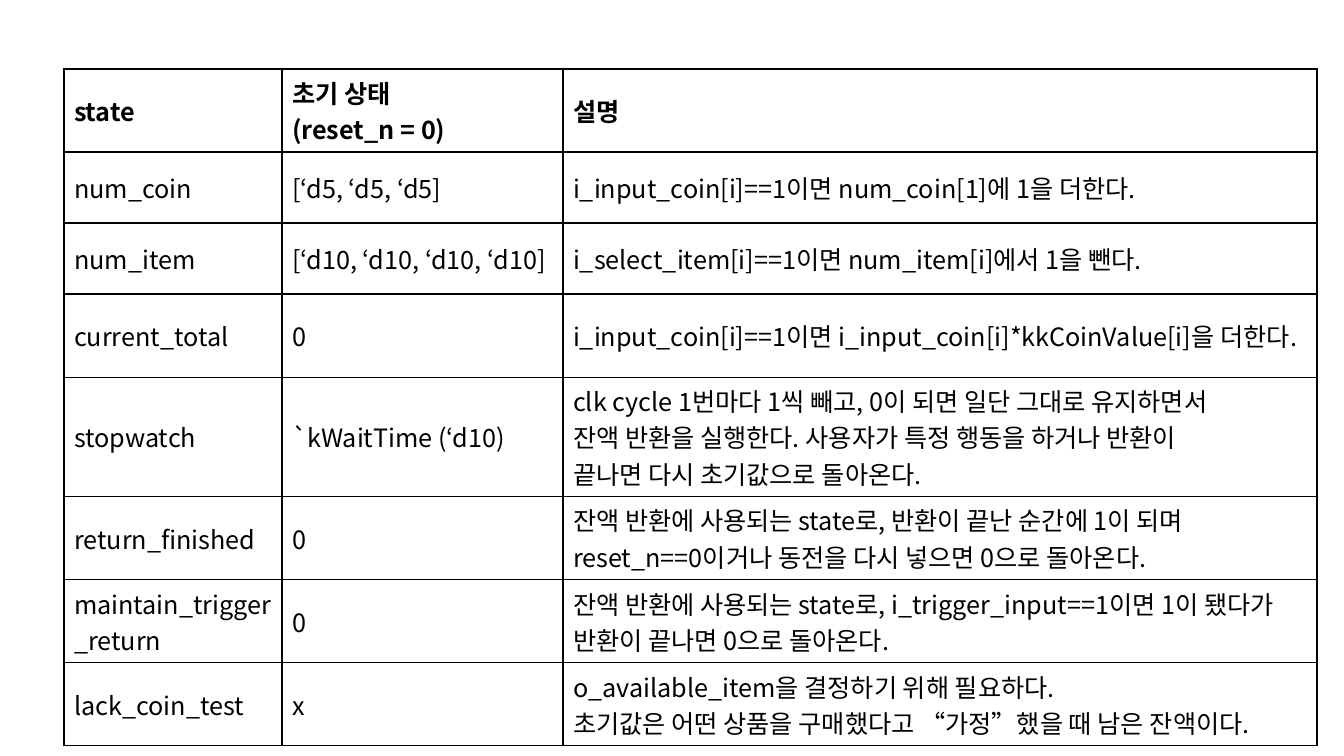
"""Builds a slide with the table of state registers, initial values and descriptions."""
import dataclasses

import pptx
import pptx.dml.color
import pptx.enum.text
import pptx.oxml
import pptx.oxml.ns
import pptx.util


@dataclasses.dataclass(frozen=True)
class Theme:
    font: str = "Noto Sans CJK KR"
    text_color: str = "000000"
    border_color: str = "000000"
    text_size: int = 18
    border_width: int = 1


class SlideBuilder:
    EMU_PER_PX = 914400 / 100.8

    def __init__(self, presentation, theme):
        self.theme = theme
        self.slide = presentation.slides.add_slide(presentation.slide_layouts[6])

    @classmethod
    def px(cls, length):
        return pptx.util.Emu(round(length * cls.EMU_PER_PX))

    def add_table(self, left, top, column_widths, row_height, rows):
        frame = self.slide.shapes.add_table(
            len(rows), len(column_widths), self.px(left), self.px(top),
            self.px(sum(column_widths)), self.px(row_height * len(rows)))
        table = frame.table
        table.first_row = False
        table.horz_banding = False
        for column, width in zip(table.columns, column_widths):
            column.width = self.px(width)
        for row_index, texts in enumerate(rows):
            table.rows[row_index].height = self.px(row_height)
            for column_index, text in enumerate(texts):
                self.fill_cell(table.cell(row_index, column_index), text, row_index == 0)

    def fill_cell(self, cell, text, bold):
        cell.text_frame.text = text
        cell.vertical_anchor = pptx.enum.text.MSO_ANCHOR.MIDDLE
        self.draw_borders(cell)
        cell.fill.background()
        for paragraph in cell.text_frame.paragraphs:
            for run in paragraph.runs:
                self.format_run(run, bold)

    def draw_borders(self, cell):
        properties = cell._tc.get_or_add_tcPr()
        width = pptx.util.Pt(self.theme.border_width)
        for side in ("lnL", "lnR", "lnT", "lnB"):
            properties.append(pptx.oxml.parse_xml(
                f'<a:{side} {pptx.oxml.ns.nsdecls("a")} w="{width}"><a:solidFill>'
                f'<a:srgbClr val="{self.theme.border_color}"/></a:solidFill></a:{side}>'))

    def format_run(self, run, bold):
        font = run.font
        font.size = pptx.util.Pt(self.theme.text_size)
        font.bold = bold
        font.color.rgb = pptx.dml.color.RGBColor.from_string(self.theme.text_color)
        font.name = self.theme.font
        run._r.get_or_add_rPr().append(pptx.oxml.parse_xml(
            f'<a:ea {pptx.oxml.ns.nsdecls("a")} typeface="{self.theme.font}"/>'))


STATE_ROWS = [
    ("state", "초기 상태\n(reset_n = 0)", "설명"),
    ("num_coin", "[‘d5, ‘d5, ‘d5]", "i_input_coin[i]==1이면 num_coin[1]에 1을 더한다."),
    ("num_item", "[‘d10, ‘d10, ‘d10, ‘d10]",
     "i_select_item[i]==1이면 num_item[i]에서 1을 뺀다."),
    ("current_total", "0",
     "i_input_coin[i]==1이면 i_input_coin[i]*kkCoinValue[i]을 더한다."),
    ("stopwatch", "`kWaitTime (‘d10)",
     "clk cycle 1번마다 1씩 빼고, 0이 되면 일단 그대로 유지하면서\n"
     "잔액 반환을 실행한다. 사용자가 특정 행동을 하거나 반환이\n"
     "끝나면 다시 초기값으로 돌아온다."),
    ("return_finished", "0",
     "잔액 반환에 사용되는 state로, 반환이 끝난 순간에 1이 되며 "
     "reset_n==0이거나 동전을 다시 넣으면 0으로 돌아온다."),
    ("maintain_trigger\n_return", "0",
     "잔액 반환에 사용되는 state로, i_trigger_input==1이면 1이 "
     "됐다가 반환이 끝나면 0으로 돌아온다."),
    ("lack_coin_test", "x",
     "o_available_item을 결정하기 위해 필요하다.\n"
     "초기값은 어떤 상품을 구매했다고 “가정”했을 때 남은 잔액이다."),
]


def main():
    presentation = pptx.Presentation()
    presentation.slide_width = SlideBuilder.px(1344)
    presentation.slide_height = SlideBuilder.px(756)
    builder = SlideBuilder(presentation, Theme())
    builder.add_table(64, 69, (218, 281, 754), 71, STATE_ROWS)
    presentation.save("out.pptx")


if __name__ == "__main__":
    main()
